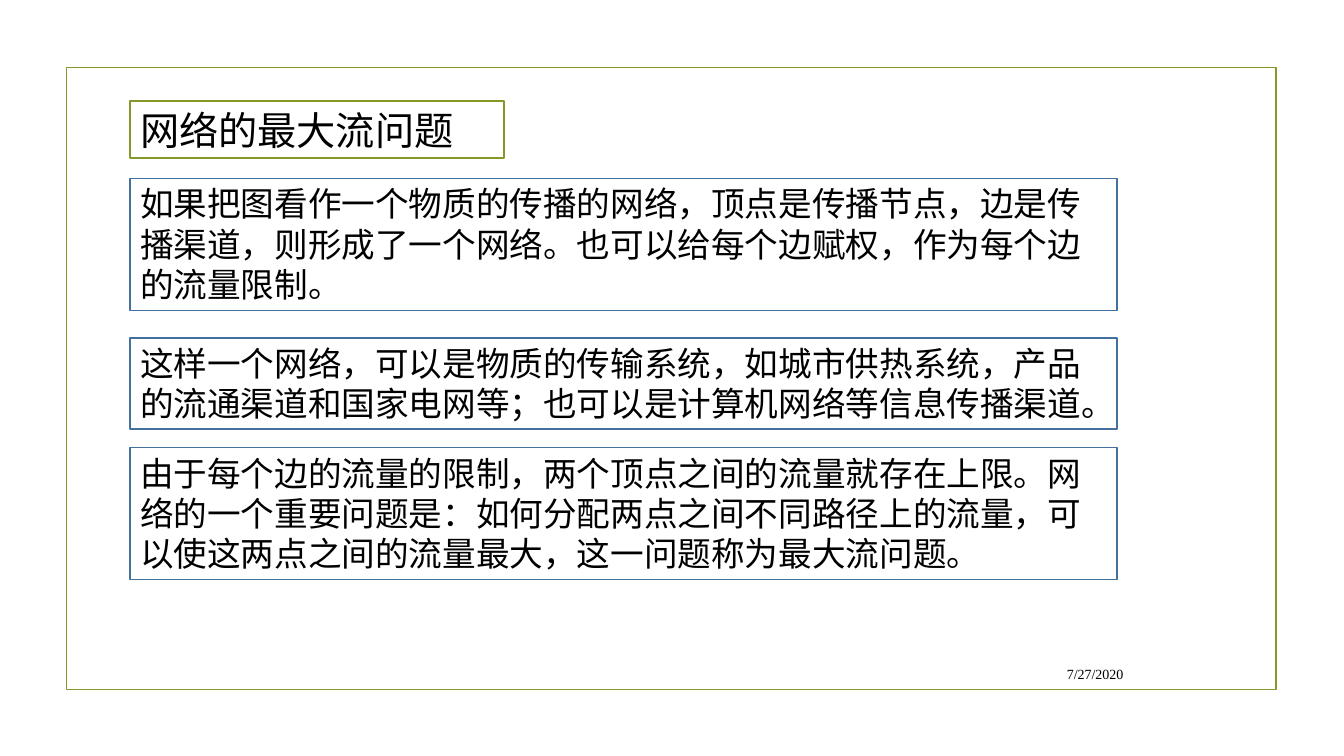
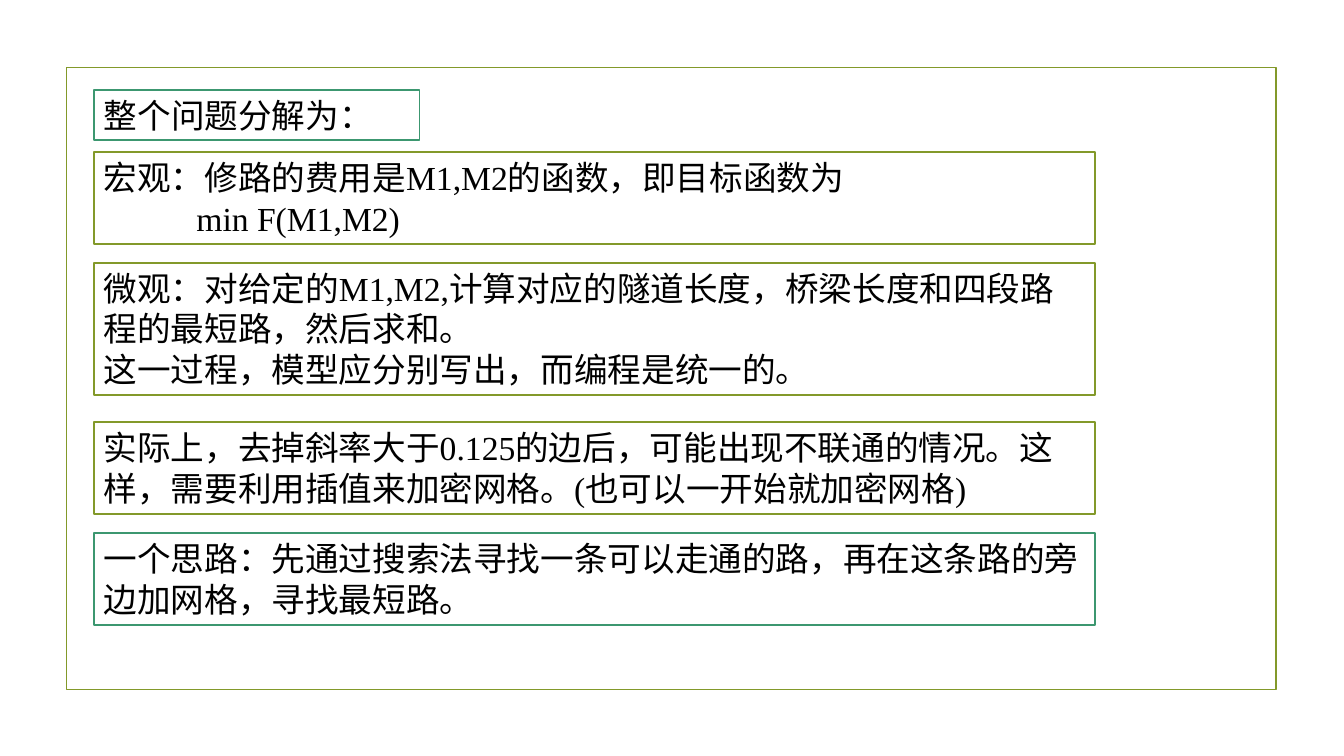
"""Build two slides on network flow and road planning."""
from dataclasses import dataclass

from pptx import Presentation
from pptx.dml.color import RGBColor
from pptx.enum.shapes import MSO_SHAPE as Form
from pptx.enum.text import MSO_ANCHOR as Anchor, MSO_AUTO_SIZE as Fit, PP_ALIGN as Align
from pptx.shapes.autoshape import Shape
from pptx.slide import Slide
from pptx.text.text import TextFrame
from pptx.util import Inches, Pt

FONT = "Times New Roman"
WHITE = RGBColor(0xFF, 0xFF, 0xFF)
BLACK = RGBColor(0x00, 0x00, 0x00)
OLIVE = RGBColor(0x83, 0x99, 0x2A)
BLUE = RGBColor(0x44, 0x70, 0x9D)
GREEN = RGBColor(0x3C, 0x97, 0x70)
ROW = 0.4
PAD = 0.11


@dataclass(frozen=True)
class Head:
    """Title of a slide."""
    text: str
    top: float
    width: float
    height: float
    size: int
    color: RGBColor


@dataclass(frozen=True)
class Box:
    """Outlined block of text, sized by its rows."""
    text: str
    top: float
    rows: int
    color: RGBColor
    indent: float = 0


@dataclass(frozen=True)
class Page:
    """Content of one slide."""
    left: float
    width: float
    head: Head
    boxes: tuple[Box, ...]
    date: str = ""


PAGES = (
    Page(1.29, 9.79, Head("网络的最大流问题", 1, 3.71, 0.57, 28, OLIVE), (
        Box("如果把图看作一个物质的传播的网络，顶点是传播节点，边是传播渠道，则形成了一个网络。"
            "也可以给每个边赋权，作为每个边的流量限制。", 1.77, 3, BLUE),
        Box("这样一个网络，可以是物质的传输系统，如城市供热系统，产品的流通渠道和国家电网等；"
            "也可以是计算机网络等信息传播渠道。", 3.35, 2, BLUE),
        Box("由于每个边的流量的限制，两个顶点之间的流量就存在上限。网络的一个重要问题是："
            "如何分配两点之间不同路径上的流量，可以使这两点之间的流量最大，"
            "这一问题称为最大流问题。", 4.44, 3, BLUE),
    ), "7/27/2020"),
    Page(0.93, 9.93, Head("整个问题分解为：", 0.89, 3.23, 0.5, 24, GREEN), (
        Box("宏观：修路的费用是M1,M2的函数，即目标函数为\nmin F(M1,M2)",
            1.51, 2, OLIVE, 0.92),
        Box("微观：对给定的M1,M2,计算对应的隧道长度，桥梁长度和四段路程的最短路，然后求和。\n"
            "这一过程，模型应分别写出，而编程是统一的。", 2.61, 3, OLIVE),
        Box("实际上，去掉斜率大于0.125的边后，可能出现不联通的情况。"
            "这样，需要利用插值来加密网格。(也可以一开始就加密网格)", 4.19, 2, OLIVE),
        Box("一个思路：先通过搜索法寻找一条可以走通的路，再在这条路的旁边加网格，寻找最短路。",
            5.29, 2, GREEN),
    )),
)


def write(frame: TextFrame, text: str, size: int, align: Align = Align.LEFT,
          anchor: Anchor = Anchor.TOP) -> None:
    """Fill a text frame in the shared type style."""
    frame.text = text
    frame.word_wrap = True
    frame.auto_size = Fit.NONE
    frame.vertical_anchor = anchor
    for para in frame.paragraphs:
        para.alignment = align
        for run in para.runs:
            run.font.name = FONT
            run.font.size = Pt(size)
            run.font.color.rgb = BLACK


def outline(shape: Shape, color: RGBColor) -> None:
    """Give a shape a thin coloured edge and no shadow."""
    shape.shadow.inherit = False
    shape.line.color.rgb = color
    shape.line.width = Pt(1.25)


def whiten(shape: Shape) -> None:
    """Fill a shape with white."""
    shape.fill.solid()
    shape.fill.fore_color.rgb = WHITE


def add_rect(slide: Slide, left: float, top: float, width: float, height: float,
             color: RGBColor) -> Shape:
    """Add an outlined rectangle."""
    rect = slide.shapes.add_shape(
        Form.RECTANGLE, Inches(left), Inches(top), Inches(width), Inches(height))
    outline(rect, color)
    return rect


def add_head(slide: Slide, left: float, head: Head) -> None:
    """Place and style the title placeholder."""
    title = slide.shapes.title
    title.left, title.top = Inches(left), Inches(head.top)
    title.width, title.height = Inches(head.width), Inches(head.height)
    outline(title, head.color)
    whiten(title)
    write(title.text_frame, head.text, head.size)


def add_box(slide: Slide, left: float, width: float, box: Box) -> None:
    """Add one block of text."""
    rect = add_rect(slide, left, box.top, width, PAD + ROW * box.rows, box.color)
    whiten(rect)
    write(rect.text_frame, box.text, 24)
    if box.indent:
        last = rect.text_frame.paragraphs[-1]
        last._p.get_or_add_pPr().set("marL", str(Inches(box.indent)))


def add_date(slide: Slide, date: str) -> None:
    """Add the date at the foot of the slide."""
    note = slide.shapes.add_textbox(Inches(9.49), Inches(6.53), Inches(1.75), Inches(0.31))
    write(note.text_frame, date, 10, Align.RIGHT, Anchor.MIDDLE)


def main() -> None:
    """Build and save the deck."""
    deck = Presentation()
    deck.slide_width, deck.slide_height = Inches(13.33), Inches(7.5)
    for page in PAGES:
        slide = deck.slides.add_slide(deck.slide_layouts.get_by_name("Title Only"))
        add_rect(slide, 0.66, 0.67, 12, 6.17, OLIVE).fill.background()
        add_head(slide, page.left, page.head)
        for box in page.boxes:
            add_box(slide, page.left, page.width, box)
        if page.date:
            add_date(slide, page.date)
    deck.save("out.pptx")


if __name__ == "__main__":
    main()
